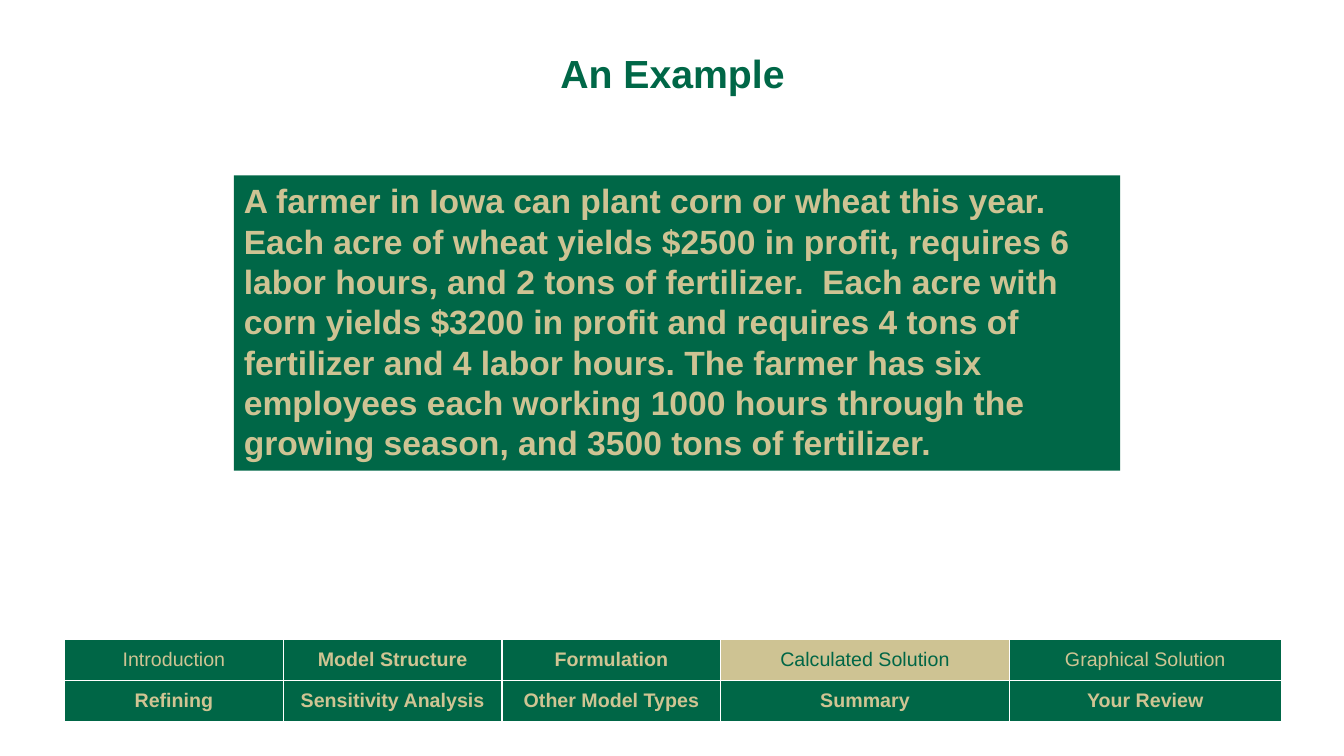
from dataclasses import dataclass

from lxml.etree import SubElement
from pptx import Presentation
from pptx.dml.color import RGBColor
from pptx.enum.shapes import MSO_SHAPE
from pptx.enum.text import MSO_ANCHOR, MSO_AUTO_SIZE, PP_ALIGN
from pptx.oxml.ns import qn
from pptx.slide import Slide
from pptx.table import _Cell
from pptx.text.text import TextFrame
from pptx.util import Inches, Pt


@dataclass(frozen=True)
class Theme:
    font: str = "Arial"
    green: str = "006747"
    nav_green: str = "006646"
    gold: str = "CEC393"
    nav_gold: str = "CFC493"
    white: str = "FFFFFF"
    title_size: int = 28
    body_size: int = 24
    nav_size: int = 14


THEME = Theme()


@dataclass(frozen=True)
class Topic:
    label: str
    fill: str = THEME.nav_green
    color: str = THEME.nav_gold
    bold: bool = True


TOPIC_ROWS = (
    (
        Topic("Introduction", color=THEME.gold, bold=False),
        Topic("Model Structure"),
        Topic("Formulation"),
        Topic("Calculated Solution", THEME.gold, THEME.nav_green, False),
        Topic("Graphical Solution", THEME.green, bold=False),
    ),
    (
        Topic("Refining"),
        Topic("Sensitivity Analysis"),
        Topic("Other Model Types"),
        Topic("Summary", THEME.green),
        Topic("Your Review", THEME.green),
    ),
)
TOPIC_WIDTHS = (2.17, 2.17, 2.17, 2.86, 2.7)
TOPIC_HEIGHT = 0.41

PROBLEM = (
    "A farmer in Iowa can plant corn or wheat this year. Each acre of wheat "
    "yields $2500 in profit, requires 6 labor hours, and 2 tons of fertilizer.  "
    "Each acre with corn yields $3200 in profit and requires 4 tons of "
    "fertilizer and 4 labor hours. The farmer has six employees each working "
    "1000 hours through the growing season, and 3500 tons of fertilizer."
)


def write(frame: TextFrame, text: str, *, size: int, color: str, bold: bool = True,
          align: PP_ALIGN = PP_ALIGN.CENTER) -> None:
    paragraph = frame.paragraphs[0]
    paragraph.alignment = align
    run = paragraph.add_run()
    run.text = text
    run.font.name = THEME.font
    run.font.size = Pt(size)
    run.font.bold = bold
    run.font.color.rgb = RGBColor.from_string(color)


def add_borders(cell: _Cell, color: str, width: float) -> None:
    """Outline all four sides; call before the fill, which must follow in the XML."""
    properties = cell._tc.get_or_add_tcPr()
    for side in ("lnL", "lnR", "lnT", "lnB"):
        line = SubElement(properties, qn(f"a:{side}"), w=str(Pt(width)))
        SubElement(SubElement(line, qn("a:solidFill")), qn("a:srgbClr"), val=color)


def add_title(slide: Slide) -> None:
    title = slide.shapes.title
    title.left, title.top = Inches(2.42), Inches(0.44)
    title.width, title.height = Inches(8.5), Inches(0.75)
    title.text_frame.vertical_anchor = MSO_ANCHOR.TOP
    write(title.text_frame, "An Example", size=THEME.title_size, color=THEME.green)


def add_problem(slide: Slide) -> None:
    panel = slide.shapes.add_shape(
        MSO_SHAPE.RECTANGLE, Inches(2.32), Inches(1.74), Inches(8.79), Inches(2.93))
    panel.shadow.inherit = False
    panel.fill.solid()
    panel.fill.fore_color.rgb = RGBColor.from_string(THEME.green)
    panel.line.fill.background()
    frame = panel.text_frame
    frame.word_wrap = True
    frame.auto_size = MSO_AUTO_SIZE.SHAPE_TO_FIT_TEXT
    frame.vertical_anchor = MSO_ANCHOR.TOP
    write(frame, PROBLEM, size=THEME.body_size, color=THEME.gold, align=PP_ALIGN.LEFT)


def add_navigation(slide: Slide) -> None:
    navigation = slide.shapes.add_table(
        len(TOPIC_ROWS), len(TOPIC_WIDTHS), Inches(0.64), Inches(6.34),
        Inches(sum(TOPIC_WIDTHS)), Inches(TOPIC_HEIGHT * len(TOPIC_ROWS))).table
    for column, width in zip(navigation.columns, TOPIC_WIDTHS):
        column.width = Inches(width)
    for row, topics in zip(navigation.rows, TOPIC_ROWS):
        row.height = Inches(TOPIC_HEIGHT)
        for cell, topic in zip(row.cells, topics):
            add_borders(cell, THEME.white, 1)
            cell.fill.solid()
            cell.fill.fore_color.rgb = RGBColor.from_string(topic.fill)
            cell.vertical_anchor = MSO_ANCHOR.MIDDLE
            write(cell.text_frame, topic.label, size=THEME.nav_size,
                  color=topic.color, bold=topic.bold)


def main() -> None:
    presentation = Presentation()
    presentation.slide_width = Inches(13.33)
    presentation.slide_height = Inches(7.5)
    title_only = presentation.slide_layouts[5]
    slide = presentation.slides.add_slide(title_only)
    add_title(slide)
    add_problem(slide)
    add_navigation(slide)
    presentation.save("out.pptx")


if __name__ == "__main__":
    main()
